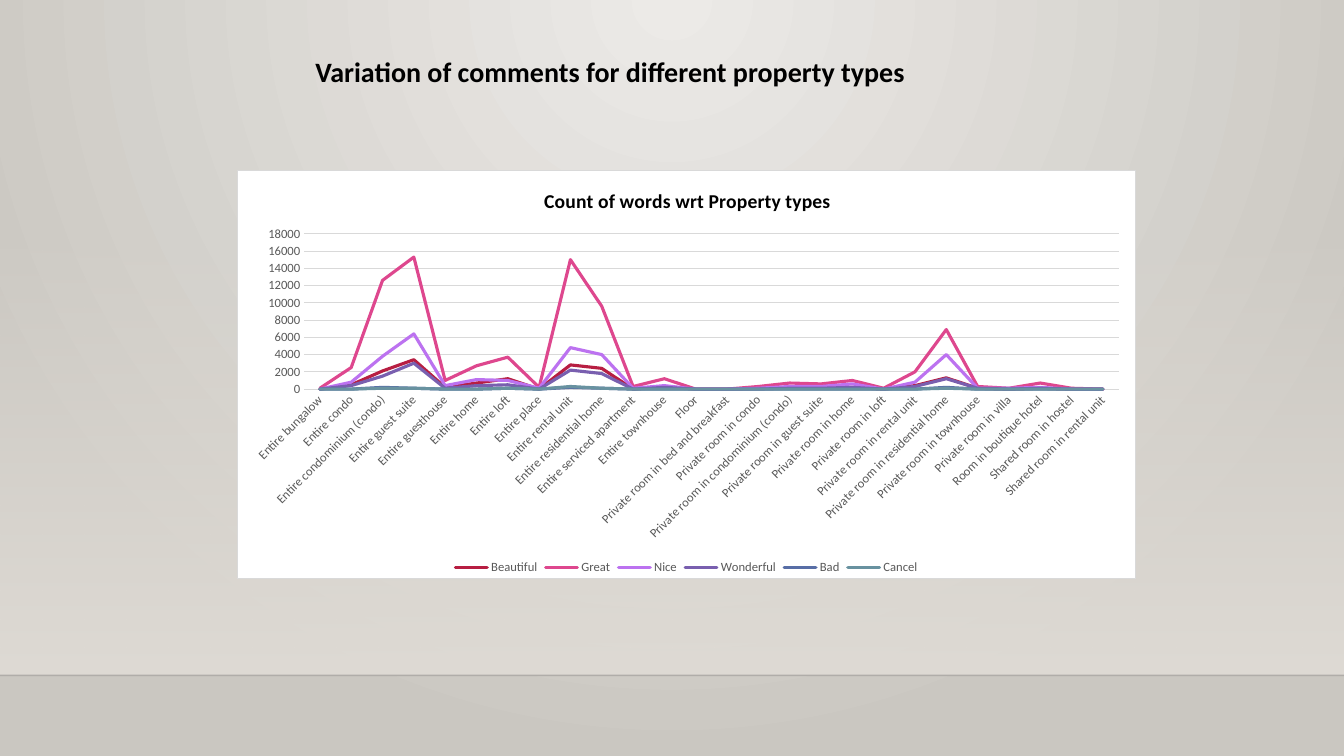
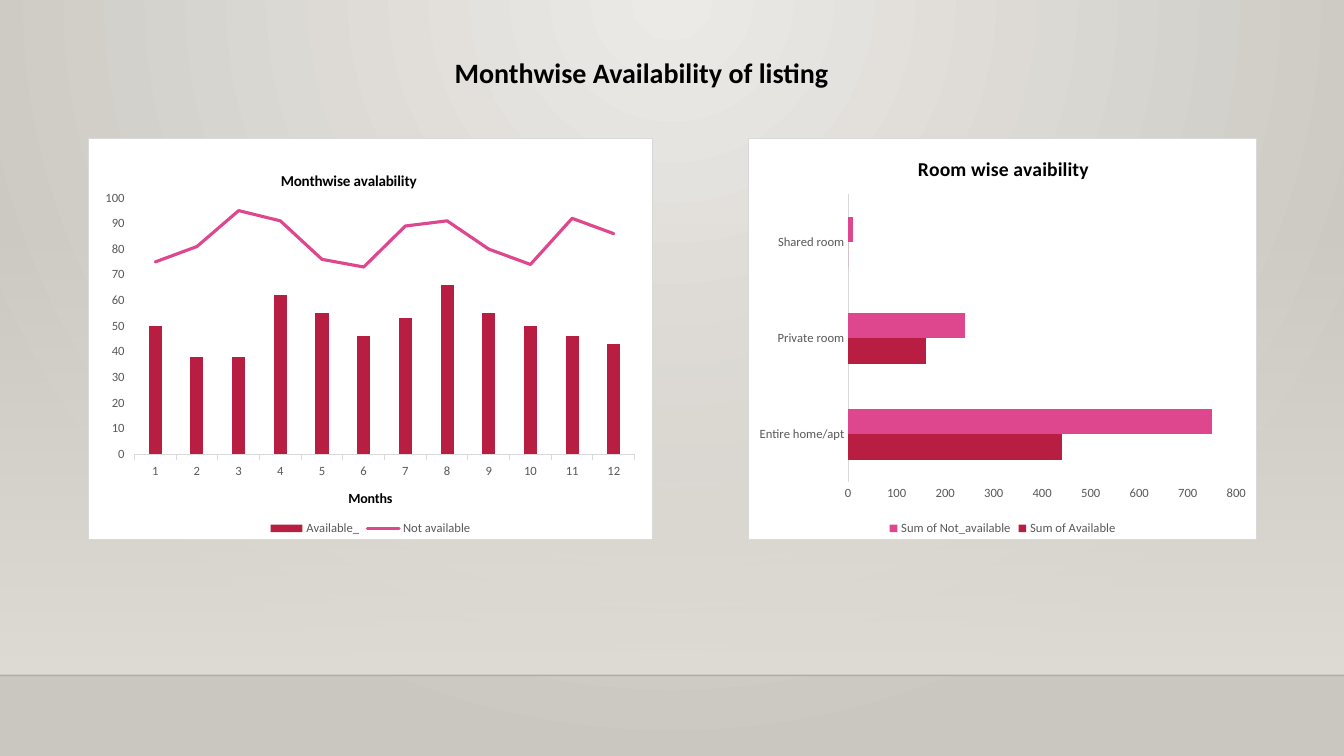
from dataclasses import dataclass

from pptx import Presentation
from pptx.chart.data import CategoryChartData
from pptx.dml.color import RGBColor
from pptx.enum import chart as ch, shapes, text
from pptx.oxml import parse_xml
from pptx.oxml.ns import nsdecls, qn
from pptx.oxml.xmlchemy import OxmlElement
from pptx.util import Pt


@dataclass(frozen=True)
class Theme:
    font: str = "Calibri"
    ink: str = "000000"
    label: str = "595959"
    rule: str = "D9D9D9"
    panel: str = "FFFFFF"
    glow: str = "ECEAE7"
    edge: str = "CAC7C1"
    band: str = "DFDBD5"
    floor_line: str = "000001"
    series: tuple = ("B71E42", "DE478E", "BC72F0", "795FAF", "586EA6", "6892A0")
    title_size: float = 20
    chart_title_size: float = 14
    small_title_size: float = 10.8
    axis_title_size: float = 10
    label_size: float = 9
    rule_width: float = 0.75
    line_width: float = 2.25


T = Theme()
WIDTH, HEIGHT = 960, 540

PROPERTY_TYPES = (
    "Entire bungalow", "Entire condo", "Entire condominium (condo)", "Entire guest suite",
    "Entire guesthouse", "Entire home", "Entire loft", "Entire place", "Entire rental unit",
    "Entire residential home", "Entire serviced apartment", "Entire townhouse", "Floor",
    "Private room in bed and breakfast", "Private room in condo",
    "Private room in condominium (condo)", "Private room in guest suite",
    "Private room in home", "Private room in loft", "Private room in rental unit",
    "Private room in residential home", "Private room in townhouse", "Private room in villa",
    "Room in boutique hotel", "Shared room in hostel", "Shared room in rental unit")
WORD_COUNTS = {
    "Beautiful": (0, 500, 2100, 3400, 200, 700, 1200, 0, 2800, 2400, 0, 300, 0,
                  0, 100, 100, 100, 200, 0, 400, 1300, 100, 0, 100, 0, 0),
    "Great": (100, 2500, 12600, 15300, 1000, 2700, 3700, 200, 15000, 9600, 300, 1200, 0,
              0, 300, 700, 600, 1000, 100, 2000, 6900, 300, 100, 700, 100, 0),
    "Nice": (0, 800, 3800, 6400, 400, 1100, 1000, 100, 4800, 4000, 100, 400, 0,
             0, 100, 300, 300, 600, 0, 800, 4000, 100, 100, 200, 0, 0),
    "Wonderful": (0, 400, 1500, 3000, 100, 400, 500, 0, 2200, 1800, 0, 200, 0,
                  0, 0, 100, 100, 200, 0, 300, 1200, 100, 0, 100, 0, 0),
    "Bad": (0, 0, 200, 100, 0, 0, 100, 0, 200, 100, 0, 0, 0,
            0, 0, 0, 0, 0, 0, 0, 200, 0, 0, 0, 0, 0),
    "Cancel": (0, 0, 100, 100, 0, 0, 100, 0, 300, 100, 0, 0, 0,
               0, 0, 0, 0, 0, 0, 0, 100, 0, 0, 0, 0, 0),
}
MONTHS = [str(m) for m in range(1, 13)]
MONTH_COUNTS = {
    "Available_": (50, 38, 38, 62, 55, 46, 53, 66, 55, 50, 46, 43),
    "Not available": (75, 81, 95, 91, 76, 73, 89, 91, 80, 74, 92, 86),
}
ROOM_TYPES = ("Entire home/apt", "Private room", "Shared room")
ROOM_COUNTS = {
    "Sum of Available": (440, 160, 0),
    "Sum of Not_available": (750, 240, 10),
}


def rgb(color):
    return RGBColor.from_string(color)


def style_font(font, size, color, bold=False):
    font.name, font.size, font.bold = T.font, Pt(size), bold
    font.color.rgb = rgb(color)


def add_alpha(clr, percent):
    alpha = OxmlElement("a:alpha")
    alpha.set("val", str(percent * 1000))
    clr.append(alpha)


def set_gradient(fill, *colors):
    fill.gradient()
    for stop, color in zip(fill.gradient_stops, colors):
        stop.color.rgb = rgb(color)


def build_backdrop(prs, s):
    """Give the master its glow, floor band and floor line, shaped on slide s first."""
    master = prs.slide_master
    set_gradient(master.background.fill, T.glow, T.edge)
    lin = next(master._element.iter(qn("a:lin")))
    lin.getparent().replace(lin, parse_xml(
        f'<a:path {nsdecls("a")} path="circle">'
        '<a:fillToRect l="43000" r="43000" b="100000"/></a:path>'))

    top, floor = 159, 482.4
    band = s.shapes.add_shape(shapes.MSO_SHAPE.RECTANGLE, 0, Pt(top), Pt(WIDTH), Pt(floor - top))
    band.shadow.inherit = False
    band.line.fill.background()
    set_gradient(band.fill, T.band, T.band)
    band.fill.gradient_angle = 270
    add_alpha(next(band._element.iter(qn("a:srgbClr"))), 0)

    line = s.shapes.add_connector(shapes.MSO_CONNECTOR.STRAIGHT, 0, Pt(floor), Pt(WIDTH), Pt(floor))
    line.line.width = Pt(1)
    line.line.color.rgb = rgb(T.floor_line)
    add_alpha(next(line._element.iter(qn("a:srgbClr"))), 20)
    line._element.spPr.append(OxmlElement("a:effectLst"))

    for i, sp in enumerate((band, line)):
        master.shapes._spTree.insert(2 + i, sp._element)


def add_title(s, title, left, top):
    sp = s.shapes.title
    sp.left, sp.top, sp.width, sp.height = Pt(left), Pt(top), Pt(554), Pt(32)
    tf = sp.text_frame
    tf.text = title
    tf.word_wrap = True
    tf.vertical_anchor = text.MSO_ANCHOR.TOP
    p = tf.paragraphs[0]
    p.alignment = text.PP_ALIGN.LEFT
    style_font(p.runs[0].font, T.title_size, T.ink, bold=True)


def set_layout(el, box, x, y, w=None, h=None):
    """Place a chart part in points inside the chart's box; with w and h, by its inner plot."""
    _, _, width, height = box
    parts = [("xMode", "edge"), ("yMode", "edge"), ("x", x / width), ("y", y / height)]
    if w is not None:
        parts = [("layoutTarget", "inner"), *parts, ("w", w / width), ("h", h / height)]
    layout = el.find(qn("c:layout"))
    if layout is None:
        layout = OxmlElement("c:layout")
        el.insert(0, layout)
    for child in list(layout):
        layout.remove(child)
    manual = OxmlElement("c:manualLayout")
    layout.append(manual)
    for name, value in parts:
        part = OxmlElement(f"c:{name}")
        part.set("val", str(value))
        manual.append(part)


def set_chart_text(title, wording, size, box, x, y):
    title.text_frame.text = wording
    style_font(title.text_frame.paragraphs[0].runs[0].font, size, T.ink, bold=True)
    set_layout(title._element, box, x, y)


def style_axis(axis, line, tick):
    axis.major_tick_mark, axis.minor_tick_mark = tick, ch.XL_TICK_MARK.NONE
    style_font(axis.tick_labels.font, T.label_size, T.label)
    axis.has_major_gridlines = False
    if line:
        axis.format.line.color.rgb = rgb(T.rule)
        axis.format.line.width = Pt(T.rule_width)
    else:
        axis.format.line.fill.background()


def style_line(series, color):
    series.smooth = False
    series.marker.style = ch.XL_MARKER_STYLE.NONE
    series.format.line.color.rgb = rgb(color)
    series.format.line.width = Pt(T.line_width)
    next(series._element.iter(qn("a:ln"))).set("cap", "rnd")


def style_bar(series, color):
    series.format.fill.solid()
    series.format.fill.fore_color.rgb = rgb(color)


def add_panel_chart(s, kind, box, cats, data, plot, tick=ch.XL_TICK_MARK.NONE):
    """Add a chart on a white bordered panel, with axes and legend styled."""
    cd = CategoryChartData()
    cd.categories = cats
    for name, values in data.items():
        cd.add_series(name, values)
    chart = s.shapes.add_chart(kind, *map(Pt, box), cd).chart
    style_font(chart.font, T.axis_title_size, T.ink)
    chart._chartSpace.chart.addnext(parse_xml(
        f'<c:spPr {nsdecls("c", "a")}>'
        f'<a:solidFill><a:srgbClr val="{T.panel}"/></a:solidFill>'
        f'<a:ln w="{Pt(T.rule_width)}"><a:solidFill><a:srgbClr val="{T.rule}"/></a:solidFill></a:ln>'
        '</c:spPr>'))
    set_layout(chart._chartSpace.chart.plotArea, box, *plot)
    chart.plots[0].vary_by_categories = False
    style_axis(chart.category_axis, True, tick)
    style_axis(chart.value_axis, False, tick)
    chart.has_legend = True
    chart.legend.position = ch.XL_LEGEND_POSITION.BOTTOM
    chart.legend.include_in_layout = False
    style_font(chart.legend.font, T.label_size, T.label)
    return chart


def add_word_chart(s, box):
    chart = add_panel_chart(s, ch.XL_CHART_TYPE.LINE, box, PROPERTY_TYPES, WORD_COUNTS,
                            (47.8, 45.2, 582.4, 111.2))
    set_chart_text(chart.chart_title, "Count of words wrt Property types",
                   T.chart_title_size, box, 216.9, 9.2)
    axis = chart.value_axis
    axis.maximum_scale, axis.major_unit = 18000, 2000
    axis.has_major_gridlines = True
    axis.major_gridlines.format.line.color.rgb = rgb(T.rule)
    axis.major_gridlines.format.line.width = Pt(T.rule_width)
    body = chart.category_axis._element.find(f'{qn("c:txPr")}/{qn("a:bodyPr")}')
    body.set("rot", str(-45 * 60000))
    for series, color in zip(chart.plots[0].series, T.series):
        style_line(series, color)


def move_to_right_axis(chart, top):
    """Turn the second series into a line on a hidden right axis from 0 to top."""
    bars = chart.plots[0]._element
    ser = bars.findall(qn("c:ser"))[1]
    for flag in ser.findall(qn("c:invertIfNegative")):
        ser.remove(flag)
    cat_id, val_id = 5001, 5002
    line = parse_xml(
        f'<c:lineChart {nsdecls("c")}><c:grouping val="standard"/><c:varyColors val="0"/>'
        f'<c:marker val="1"/><c:axId val="{cat_id}"/><c:axId val="{val_id}"/></c:lineChart>')
    line.insert(2, ser)
    bars.addnext(line)

    def axis(tag, own, other, side, limits, crosses):
        return parse_xml(
            f'<c:{tag} {nsdecls("c")}><c:axId val="{own}"/>'
            f'<c:scaling><c:orientation val="minMax"/>{limits}</c:scaling>'
            f'<c:delete val="1"/><c:axPos val="{side}"/><c:majorTickMark val="none"/>'
            f'<c:minorTickMark val="none"/><c:tickLblPos val="nextTo"/>'
            f'<c:crossAx val="{other}"/><c:crosses val="{crosses}"/></c:{tag}>')

    limits = f'<c:max val="{top}"/><c:min val="0"/>'
    last = chart.value_axis._element
    last.addnext(axis("catAx", cat_id, val_id, "b", "", "autoZero"))
    last.addnext(axis("valAx", val_id, cat_id, "r", limits, "max"))


def add_month_chart(s, box):
    chart = add_panel_chart(s, ch.XL_CHART_TYPE.COLUMN_CLUSTERED, box, MONTHS, MONTH_COUNTS,
                            (32.7, 42.5, 358, 183.6), ch.XL_TICK_MARK.OUTSIDE)
    set_chart_text(chart.chart_title, "Monthwise avalability",
                   T.small_title_size, box, 135.6, 21.7)
    set_chart_text(chart.category_axis.axis_title, "Months",
                   T.axis_title_size, box, 184, 249.2)
    axis = chart.value_axis
    axis.minimum_scale, axis.maximum_scale, axis.major_unit = 0, 100, 10
    move_to_right_axis(chart, 100)
    bars, lines = chart.plots
    bars.gap_width, bars.overlap = 219, -27
    style_bar(bars.series[0], T.series[0])
    style_line(lines.series[0], T.series[1])


def add_room_chart(s, box):
    chart = add_panel_chart(s, ch.XL_CHART_TYPE.BAR_CLUSTERED, box, ROOM_TYPES, ROOM_COUNTS,
                            (71, 40, 277.8, 206.4))
    set_chart_text(chart.chart_title, "Room wise avaibility",
                   T.chart_title_size, box, 118.4, 9.2)
    axis = chart.value_axis
    axis.maximum_scale, axis.major_unit = 800, 100
    chart.plots[0].gap_width = 182
    for series, color in zip(chart.plots[0].series, T.series):
        style_bar(series, color)


def main():
    prs = Presentation()
    prs.slide_width, prs.slide_height = Pt(WIDTH), Pt(HEIGHT)
    title_only = prs.slide_layouts[5]

    s = prs.slides.add_slide(title_only)
    build_backdrop(prs, s)
    add_title(s, "Variation of comments for different property types", 218, 35)
    add_word_chart(s, (169.2, 121.6, 642.3, 292.3))

    s = prs.slides.add_slide(title_only)
    add_title(s, "Monthwise Availability of listing", 317.5, 36)
    add_month_chart(s, (63, 98.6, 403.2, 287.3))
    add_room_chart(s, (534.6, 98.6, 363, 287.3))

    prs.save("out.pptx")


if __name__ == "__main__":
    main()
